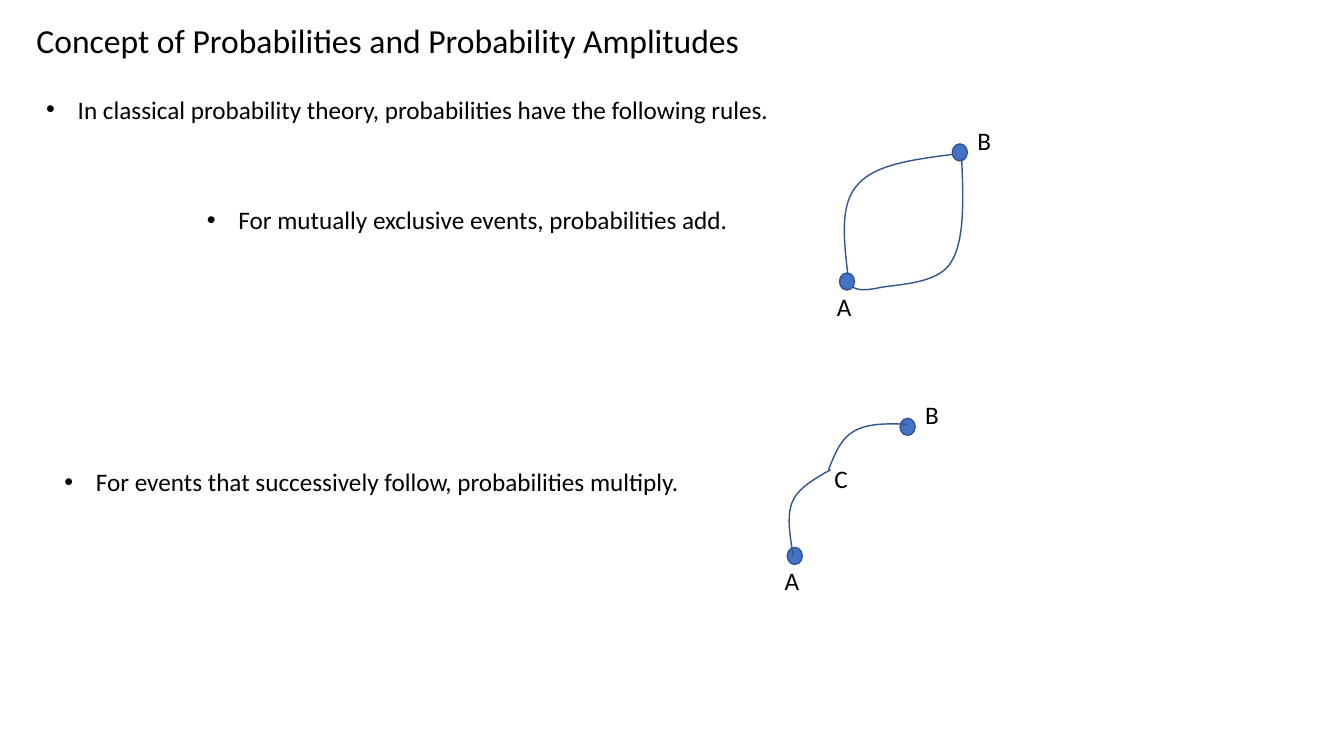
from lxml import etree
from pptx import Presentation
from pptx.dml.color import RGBColor
from pptx.enum.shapes import MSO_SHAPE
from pptx.enum.text import MSO_AUTO_SIZE
from pptx.oxml.ns import qn
from pptx.util import Pt

COLORS = {"text": "000000", "dot": "4472C4", "line": "325491"}
FONT = "Calibri"
BULLET_HANG = 22.5

deck = Presentation()
deck.slide_width, deck.slide_height = Pt(960), Pt(540)
page = deck.slides.add_slide(deck.slide_layouts[6])


def add_text(shapes, text, left, top, width, height=29, size=18,
             wrap=False, level=0, bullet_indent=None):
    box = shapes.add_textbox(Pt(left), Pt(top), Pt(width), Pt(height))
    frame = box.text_frame
    frame.word_wrap = wrap
    frame.auto_size = MSO_AUTO_SIZE.SHAPE_TO_FIT_TEXT
    para = frame.paragraphs[0]
    para.level = level
    if bullet_indent is not None:
        properties = para._p.get_or_add_pPr()
        properties.set("marL", str(Pt(bullet_indent)))
        properties.set("indent", str(-Pt(BULLET_HANG)))
        etree.SubElement(properties, qn("a:buFont")).set("typeface", "Arial")
        etree.SubElement(properties, qn("a:buChar")).set("char", "•")
    span = para.add_run()
    span.text = text
    span.font.name = FONT
    span.font.size = Pt(size)
    span.font.color.rgb = RGBColor.from_string(COLORS["text"])


def add_curve(shapes, bounds, points):
    """Draw joined cubic Bézier segments: a start, then three points for each."""
    left, top, right, bottom = (Pt(edge) for edge in bounds)
    builder = shapes.build_freeform(left, top, scale=1.0)
    builder.add_line_segments([(right, bottom)], close=False)
    curve = builder.convert_to_shape()
    outline = curve._element.find(".//" + qn("a:path"))
    for command in list(outline):
        outline.remove(command)
    for index, (x, y) in enumerate(points):
        if index == 0:
            command = etree.SubElement(outline, qn("a:moveTo"))
        elif index % 3 == 1:
            command = etree.SubElement(outline, qn("a:cubicBezTo"))
        point = etree.SubElement(command, qn("a:pt"))
        point.set("x", str(Pt(x) - left))
        point.set("y", str(Pt(y) - top))
    curve.shadow.inherit = False
    curve.fill.background()
    curve.line.color.rgb = RGBColor.from_string(COLORS["line"])
    curve.line.width = Pt(1)


# Title and introduction
add_text(page.shapes, "Concept of Probabilities and Probability Amplitudes",
         19, 10.4, 521.3, height=36, size=24)
add_text(page.shapes,
         "In classical probability theory, probabilities have the following rules.",
         25.9, 63.7, 536.4, bullet_indent=BULLET_HANG)

# Path diagrams: corner of dot A, curves with their bounds, further labels
diagrams = [
    {"origin": (599.6, 195),
     "curves": [
         ((603.4, 110.2, 681.1, 195.1),
          [(605.5, 195.1), (602.6, 170.6), (599.8, 145.4), (612.7, 131.8),
           (625, 117.4), (653, 113.8), (681.1, 110.2)]),
         ((609.1, 113, 687.6, 206.6),
          [(609.1, 205.2), (612, 206.6), (614.9, 208.1), (626.4, 205.9),
           (637.9, 203), (668.9, 203.8), (679, 187.9),
           (689, 172.8), (688.3, 143.3), (686.9, 113)])],
     "labels": []},
    {"origin": (562.3, 391),
     "curves": [
         ((563.8, 335.5, 593.3, 397.4),
          [(566.6, 397.4), (564.5, 383), (561.6, 369.4), (565.9, 358.6),
           (570.2, 348.5), (581.8, 342), (593.3, 335.5)]),
         ((591.8, 302.8, 648, 335.5),
          [(591.8, 335.5), (596.2, 324.7), (600.5, 313.2), (609.8, 308.2),
           (619.2, 302.4), (633.6, 302.4), (648, 303.1)])],
     "labels": [("C", 588.8, 327.6)]},
]
for diagram in diagrams:
    group = page.shapes.add_group_shape()
    a_x, a_y = diagram["origin"]
    b_x, b_y = a_x + 80.6, a_y - 92.2
    for x, y in ((a_x, a_y), (b_x, b_y)):
        dot = group.shapes.add_shape(MSO_SHAPE.OVAL, Pt(x), Pt(y), Pt(10.8), Pt(12.2))
        dot.shadow.inherit = False
        dot.fill.solid()
        dot.fill.fore_color.rgb = RGBColor.from_string(COLORS["dot"])
        dot.line.color.rgb = RGBColor.from_string(COLORS["line"])
        dot.line.width = Pt(1)
    for bounds, points in diagram["curves"]:
        add_curve(group.shapes, bounds, points)
    labels = [("A", a_x - 9, a_y + 9.2), ("B", b_x + 10.8, b_y - 17)]
    for letter, x, y in labels + diagram["labels"]:
        add_text(group.shapes, letter, x, y, 25.2)

# Rules
rules = [
    ("For mutually exclusive events, probabilities add.", 104.7, 142.6, 480.2),
    ("For events that successively follow, probabilities multiply.", 2.9, 329.8, 515.5),
]
for text, left, top, width in rules:
    add_text(page.shapes, text, left, top, width, wrap=True, level=1, bullet_indent=58.5)

deck.save("out.pptx")
